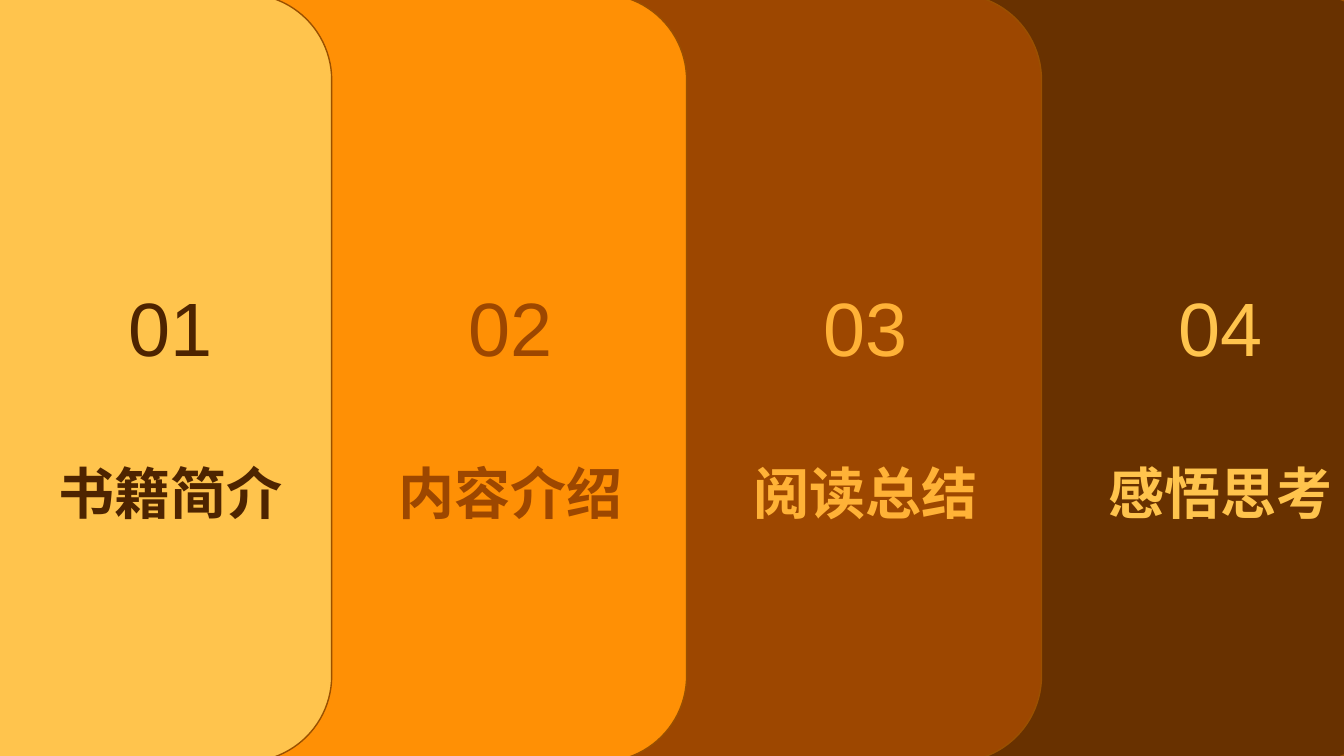
from dataclasses import dataclass

from pptx import Presentation
from pptx import util as u
from pptx.dml.color import RGBColor
from pptx.enum import shapes, text


@dataclass(frozen=True)
class Theme:
    font: str = "Arial"
    number_size: int = 54
    title_size: int = 40
    title_gap: int = 62
    outline_width: int = 1
    outline: str = "9A5000"
    gold: str = "FFC44D"
    amber: str = "FFB237"
    orange: str = "FF9005"
    rust: str = "9D4700"
    brown: str = "683100"
    espresso: str = "4E2400"


THEME = Theme()
GRID = 0.16  # inches per grid unit
COLUMN = 22  # grid units from one chapter to the next

# number, title, panel colour, text colour, text offset within the column
CHAPTERS = [
    ("01", "书籍简介", THEME.gold, THEME.espresso, 2.94),
    ("02", "内容介绍", THEME.orange, THEME.rust, 2),
    ("03", "阅读总结", THEME.rust, THEME.amber, 2),
    ("04", "感悟思考", THEME.brown, THEME.gold, 2),
]


class SlideBuilder:
    """Places elements on one slide, with lengths in grid units."""

    def __init__(self, slide, theme):
        self.slide = slide
        self.theme = theme

    def box(self, *lengths):
        return [u.Inches(length * GRID) for length in lengths]

    def panel(self, column, color):
        shape = self.slide.shapes.add_shape(
            shapes.MSO_SHAPE.ROUNDED_RECTANGLE,
            *self.box(column * COLUMN - 11.44, -0.38, 32, 47.62))
        shape.shadow.inherit = False
        shape.fill.solid()
        shape.fill.fore_color.rgb = RGBColor.from_string(color)
        shape.line.color.rgb = RGBColor.from_string(self.theme.outline)
        shape.line.width = u.Pt(self.theme.outline_width)

    def label(self, column, offset, number, title, color):
        shape = self.slide.shapes.add_textbox(
            *self.box(column * COLUMN + offset, 17.12, 15.3, 16.2))
        frame = shape.text_frame
        frame.word_wrap = False
        frame.auto_size = text.MSO_AUTO_SIZE.SHAPE_TO_FIT_TEXT
        frame.text = f"{number}\n{title}"
        number_paragraph, title_paragraph = frame.paragraphs
        title_paragraph.space_before = u.Pt(self.theme.title_gap)
        self.format(number_paragraph, self.theme.number_size, color)
        self.format(title_paragraph, self.theme.title_size, color, bold=True)

    def format(self, paragraph, size, color, bold=False):
        paragraph.alignment = text.PP_ALIGN.CENTER
        for run in paragraph.runs:
            run.font.name = self.theme.font
            run.font.size = u.Pt(size)
            run.font.bold = bold
            run.font.color.rgb = RGBColor.from_string(color)


def main():
    presentation = Presentation()
    presentation.slide_width = u.Inches(13.33)
    presentation.slide_height = u.Inches(7.5)
    slide = presentation.slides.add_slide(presentation.slide_layouts[6])
    builder = SlideBuilder(slide, THEME)

    # Each panel overlaps the one to its right, so the last is drawn first.
    for column, chapter in reversed(list(enumerate(CHAPTERS))):
        builder.panel(column, chapter[2])
    for column, (number, title, _, color, offset) in enumerate(CHAPTERS):
        builder.label(column, offset, number, title, color)

    presentation.save("out.pptx")


if __name__ == "__main__":
    main()
